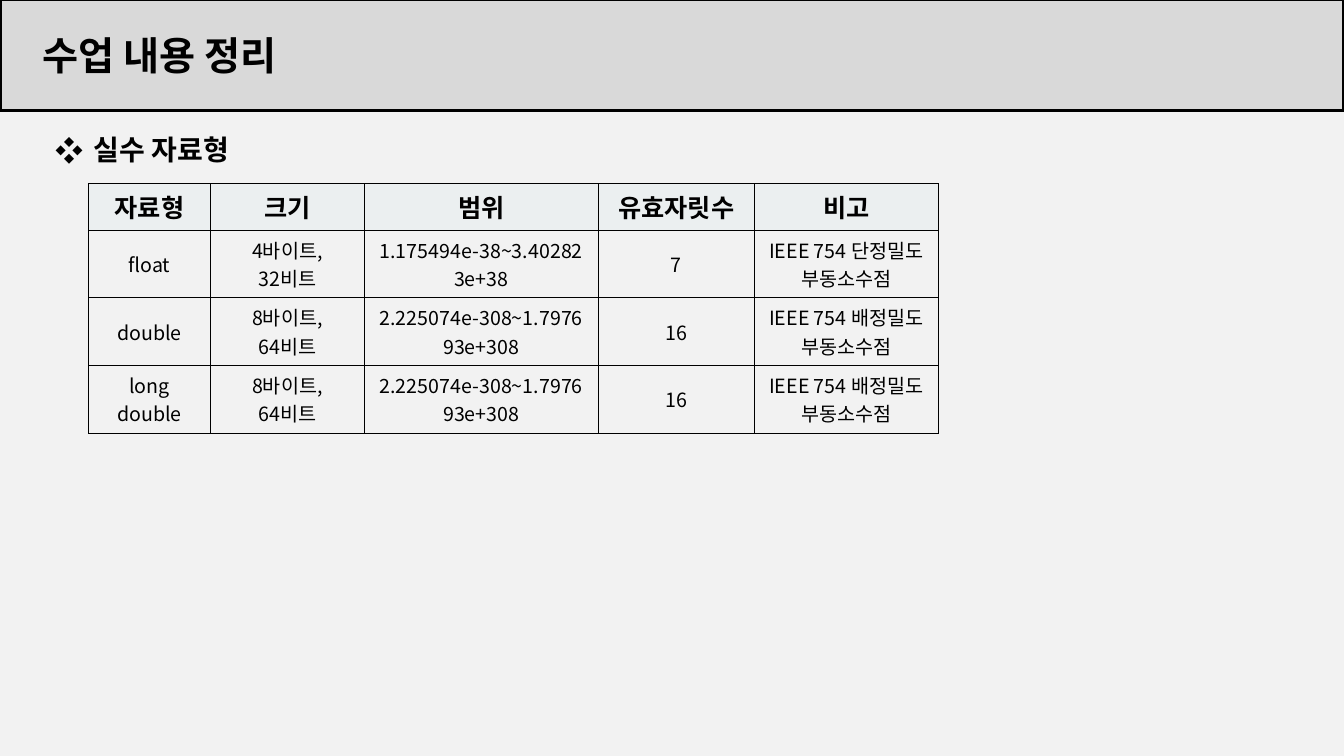
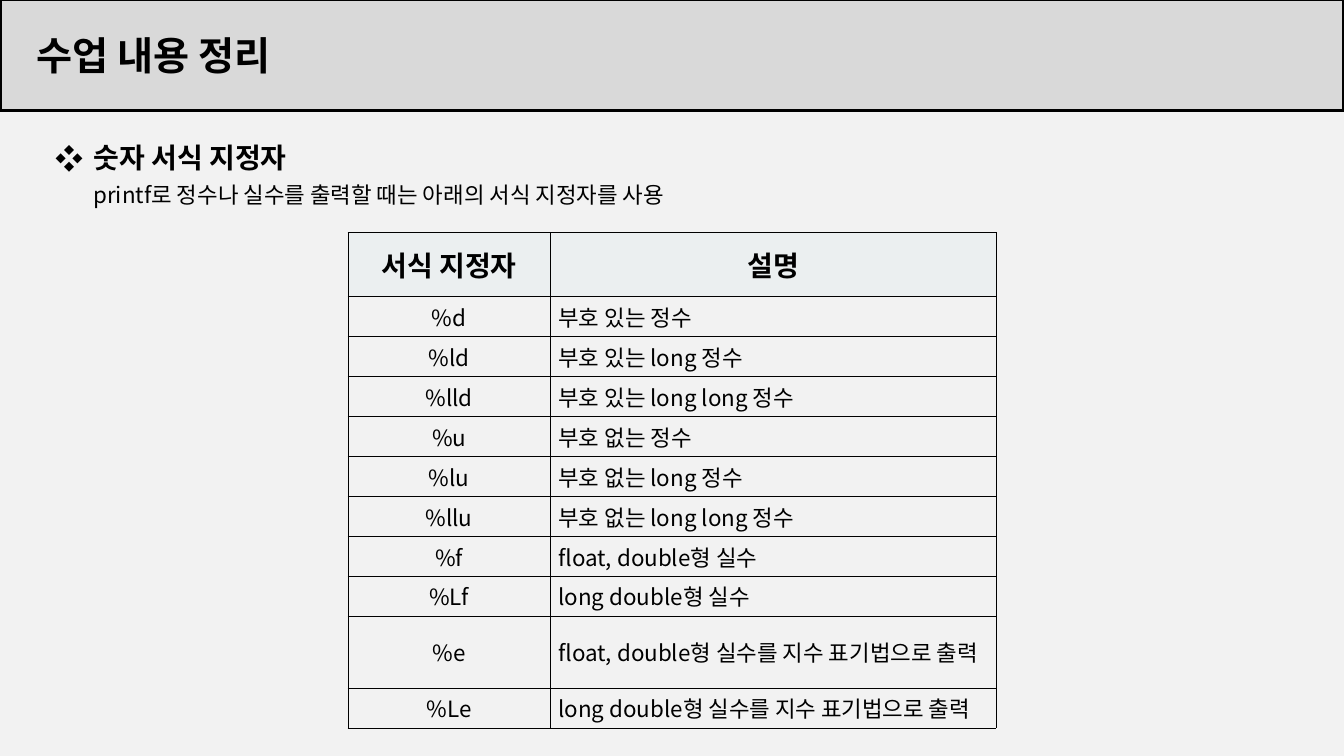
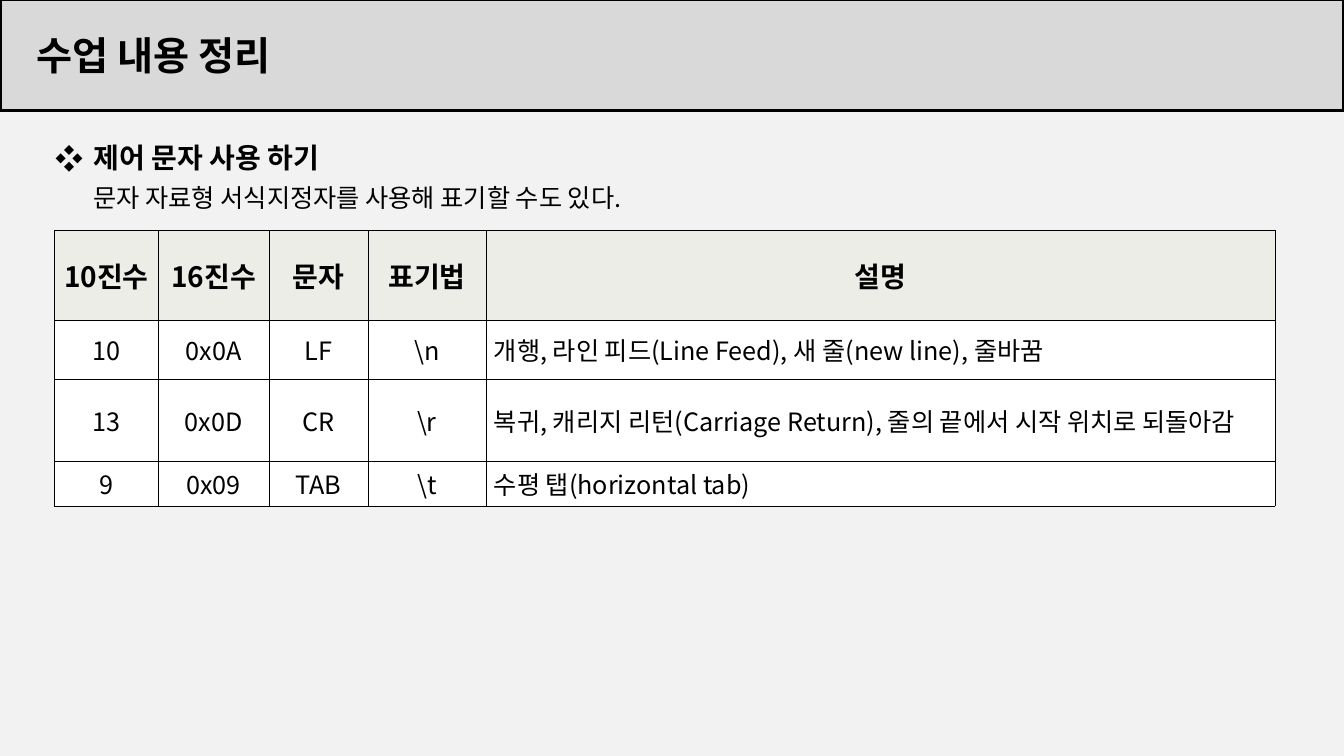
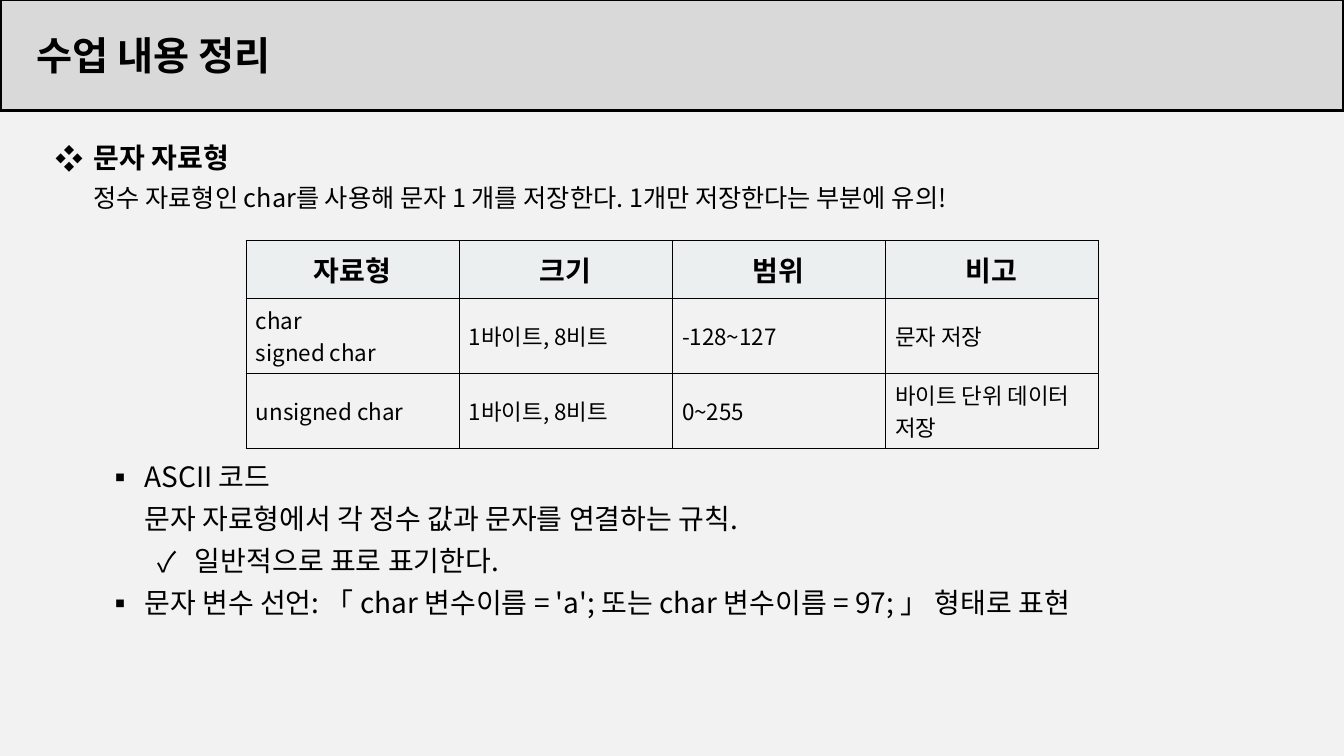
from copy import deepcopy

from lxml import etree
from pptx import Presentation
from pptx.dml.color import RGBColor
from pptx.enum.shapes import MSO_SHAPE
from pptx.enum.text import MSO_ANCHOR, PP_ALIGN
from pptx.oxml.ns import qn
from pptx.util import Pt

RECTANGLE = MSO_SHAPE.RECTANGLE
MIDDLE = MSO_ANCHOR.MIDDLE
LEFT = PP_ALIGN.LEFT
CENTER = PP_ALIGN.CENTER

FONT = "Noto Sans CJK KR"
TITLE = "수업 내용 정리"
COLORS = {
    "page": "F2F2F2",
    "band": "D9D9D9",
    "ink": "000000",
    "cool_header": "EBEFF0",
    "warm_header": "EBEDE6",
    "white": "FFFFFF",
}
SLIDE_WIDTH, SLIDE_HEIGHT = 960, 540
BULLET_HANG = 27
LINE_SPACING = 1.25
WIDE_INSETS = (7.2, 3.6)
TIGHT_INSETS = (5.8, 2.6)


def color(name):
    return RGBColor.from_string(COLORS[name])


def paint(fill, name):
    fill.solid()
    fill.fore_color.rgb = color(name)


def write(para, text, size, bold=False, align=LEFT):
    para.alignment = align
    for index, line in enumerate(text.split("\n")):
        if index:
            para.add_line_break()
            line_break = para._p[-1]
            line_break.append(deepcopy(span._r.rPr))
        span = para.add_run()
        span.text = line
        span.font.size = Pt(size)
        span.font.bold = bold
        span.font.color.rgb = color("ink")
        span.font.name = FONT
        properties = span._r.rPr
        properties.set("kern", "0")
        etree.SubElement(properties, qn("a:ea")).set("typeface", FONT)


def set_bullet(para, mark, indent):
    properties = para._p.get_or_add_pPr()
    properties.set("marL", str(Pt(indent)))
    properties.set("indent", str(Pt(-BULLET_HANG)))
    etree.SubElement(properties, qn("a:buFont")).set("typeface", FONT)
    etree.SubElement(properties, qn("a:buChar")).set("char", mark)


def add_page(deck, title_inset=26):
    page = deck.slides.add_slide(deck.slide_layouts[6])
    band = page.shapes.add_shape(RECTANGLE, Pt(0), Pt(-0.7), Pt(SLIDE_WIDTH), Pt(80))
    band.shadow.inherit = False
    paint(band.fill, "band")
    band.line.color.rgb = color("ink")
    band.line.width = Pt(2.25)
    frame = band.text_frame
    frame.vertical_anchor = MIDDLE
    frame.margin_left = Pt(title_inset)
    write(frame.paragraphs[0], TITLE, 28, bold=True)
    return page


def add_body(page, heading, note=None, note_size=18, spacing=LINE_SPACING):
    box = page.shapes.add_textbox(Pt(32.7), Pt(91), Pt(884), Pt(395))
    frame = box.text_frame
    frame.word_wrap = True
    para = frame.paragraphs[0]
    para.line_spacing = spacing
    set_bullet(para, "❖", BULLET_HANG)
    write(para, heading, 20, bold=True)
    if note:
        para.add_line_break()
        write(para, note, note_size)
    return frame


def add_point(frame, text, mark, indent, space_before=0):
    para = frame.add_paragraph()
    para.line_spacing = LINE_SPACING
    para.space_before = Pt(space_before)
    set_bullet(para, mark, indent)
    write(para, text, 20)


def set_borders(cell):
    properties = cell._tc.get_or_add_tcPr()
    for position, side in enumerate(("lnL", "lnR", "lnT", "lnB")):
        border = etree.Element(qn(f"a:{side}"), w=str(Pt(0.5)))
        fill = etree.SubElement(border, qn("a:solidFill"))
        etree.SubElement(fill, qn("a:srgbClr")).set("val", COLORS["ink"])
        properties.insert(position, border)


def add_grid(page, left, top, widths, heights, rows, aligns, header_size, size,
             insets=TIGHT_INSETS, header_fill="cool_header", body_fill=None):
    frame = page.shapes.add_table(len(rows), len(widths), Pt(left), Pt(top),
                                  Pt(sum(widths)), Pt(sum(heights)))
    table = frame.table
    table.first_row = False
    table.horz_banding = False
    for column, width in zip(table.columns, widths):
        column.width = Pt(width)
    for row, height in zip(table.rows, heights):
        row.height = Pt(height)
    for row_index, texts in enumerate(rows):
        header = row_index == 0
        fill = header_fill if header else body_fill
        for column_index, text in enumerate(texts):
            cell = table.cell(row_index, column_index)
            cell.vertical_anchor = MIDDLE
            cell.margin_left = cell.margin_right = Pt(insets[0])
            cell.margin_top = cell.margin_bottom = Pt(insets[1])
            if fill:
                paint(cell.fill, fill)
            else:
                cell.fill.background()
            set_borders(cell)
            write(cell.text_frame.paragraphs[0], text,
                  header_size if header else size, bold=header,
                  align=CENTER if header else aligns[column_index])


def build_real_types(deck):
    page = add_page(deck, title_inset=30.5)
    add_body(page, "실수 자료형", spacing=1)
    rows = [
        ("자료형", "크기", "범위", "유효자릿수", "비고"),
        ("float", "4바이트,\n32비트", "1.175494e-38~3.402823e+38", "7",
         "IEEE 754 단정밀도 부동소수점"),
    ]
    for name in ("double", "long\ndouble"):
        rows.append((name, "8바이트,\n64비트", "2.225074e-308~1.797693e+308", "16",
                     "IEEE 754 배정밀도 부동소수점"))
    add_grid(page, 63.2, 131, [87.1, 110, 167.1, 111.4, 131.6], [33.4] + [48.3] * 3,
             rows, [CENTER] * 5, 18, 14, insets=WIDE_INSETS)


def build_number_formats(deck):
    page = add_page(deck)
    add_body(page, "숫자 서식 지정자",
             "printf로 정수나 실수를 출력할 때는 아래의 서식 지정자를 사용", note_size=16)
    rows = [
        ("서식 지정자", "설명"),
        ("%d", "부호 있는 정수"),
        ("%ld", "부호 있는\u00a0long\u00a0정수"),
        ("%lld", "부호 있는\u00a0long long\u00a0정수"),
        ("%u", "부호 없는 정수"),
        ("%lu", "부호 없는\u00a0long\u00a0정수"),
        ("%llu", "부호 없는\u00a0long long\u00a0정수"),
        ("%f", "float,\u00a0double형 실수"),
        ("%Lf", "long double형 실수"),
        ("%e", "float,\u00a0double형 실수를 지수 표기법으로 출력"),
        ("%Le", "long double형 실수를 지수 표기법으로 출력"),
    ]
    heights = [45.7] + [28.57] * 8 + [51.4, 28.57]
    add_grid(page, 248.6, 166.1, [144.5, 318.3], heights, rows, [CENTER, LEFT], 20, 16)


def build_control_characters(deck):
    page = add_page(deck)
    add_body(page, "제어 문자 사용 하기", "문자 자료형 서식지정자를 사용해 표기할 수도 있다.")
    rows = [
        ("10진수", "16진수", "문자", "표기법", "설명"),
        ("10", "0x0A", "LF", "\\n",
         "개행, 라인 피드(Line Feed), 새 줄(new line), 줄바꿈"),
        ("13", "0x0D", "CR", "\\r",
         "복귀, 캐리지 리턴(Carriage Return), 줄의 끝에서 시작 위치로 되돌아감"),
        ("9", "0x09", "TAB", "\\t", "수평 탭(horizontal tab)"),
    ]
    add_grid(page, 38.9, 164.6, [74.2, 79.2, 70.6, 84.2, 563.8], [64, 42.2, 58.6, 32.1],
             rows, [CENTER] * 4 + [LEFT], 20, 18,
             header_fill="warm_header", body_fill="white")


def build_character_types(deck):
    page = add_page(deck)
    frame = add_body(page, "문자 자료형",
                     "정수 자료형인 char를 사용해 문자 1 개를 저장한다. "
                     "1개만 저장한다는 부분에 유의!")
    add_point(frame, "ASCII 코드 \n문자 자료형에서 각 정수 값과 문자를 연결하는 규칙.",
              "▪", 63.4, space_before=171)
    add_point(frame, "일반적으로 표로 표기한다.", "✓", 99.4)
    add_point(frame, "문자 변수 선언: 「 char 변수이름 = 'a'; 또는 char 변수이름 = 97; 」 "
              "형태로 표현", "▪", 63.4)
    rows = [
        ("자료형", "크기", "범위", "비고"),
        ("char\nsigned char", "1바이트, 8비트", "-128~127", "문자 저장"),
        ("unsigned char", "1바이트, 8비트", "0~255", "바이트 단위 데이터 저장"),
    ]
    add_grid(page, 175.6, 171.6, [152.2] * 4, [41.6, 53.5, 53.5], rows, [LEFT] * 4,
             20, 16, insets=WIDE_INSETS)


def main():
    deck = Presentation()
    deck.slide_width = Pt(SLIDE_WIDTH)
    deck.slide_height = Pt(SLIDE_HEIGHT)
    paint(deck.slide_master.background.fill, "page")
    build_real_types(deck)
    build_number_formats(deck)
    build_control_characters(deck)
    build_character_types(deck)
    deck.save("out.pptx")


main()
